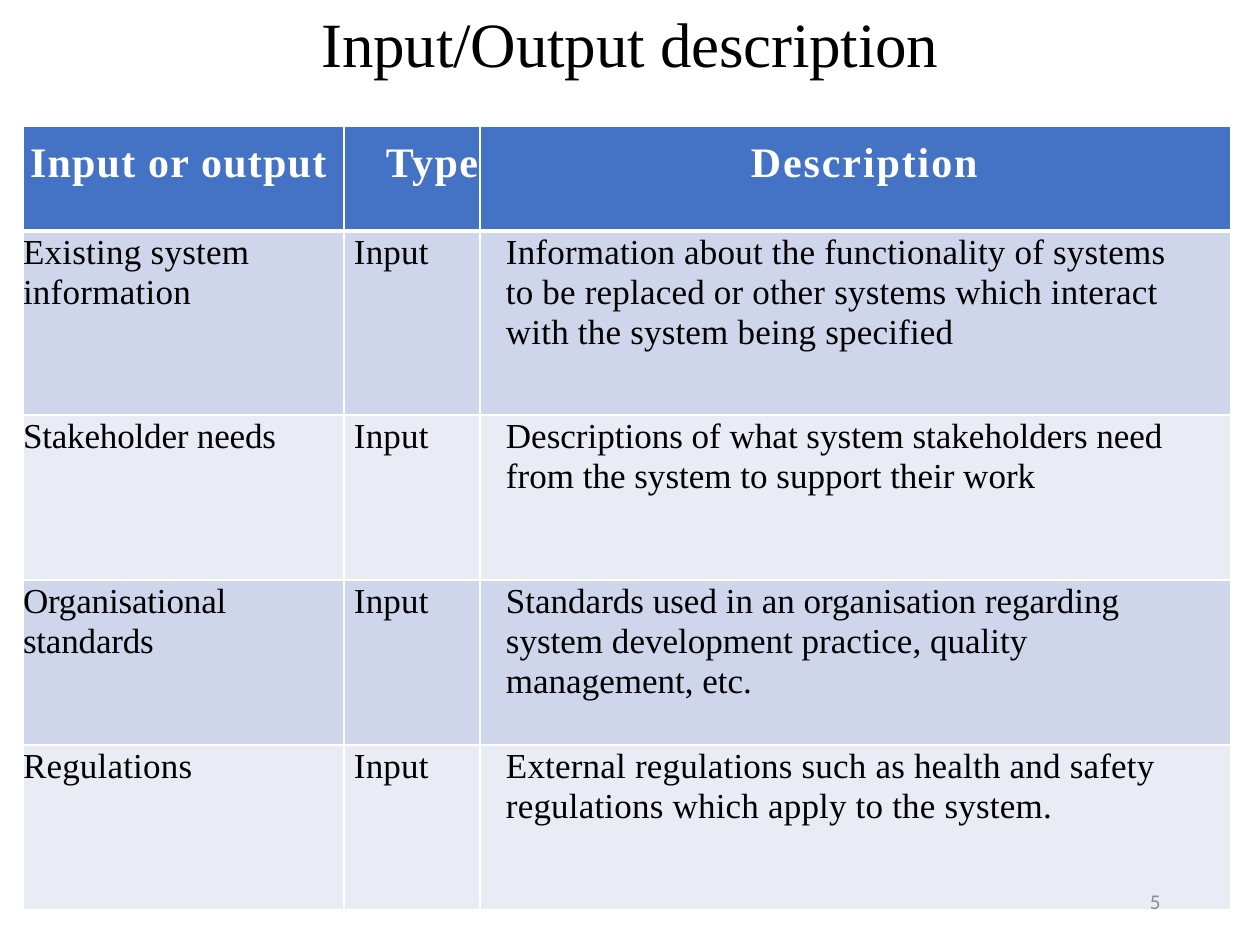
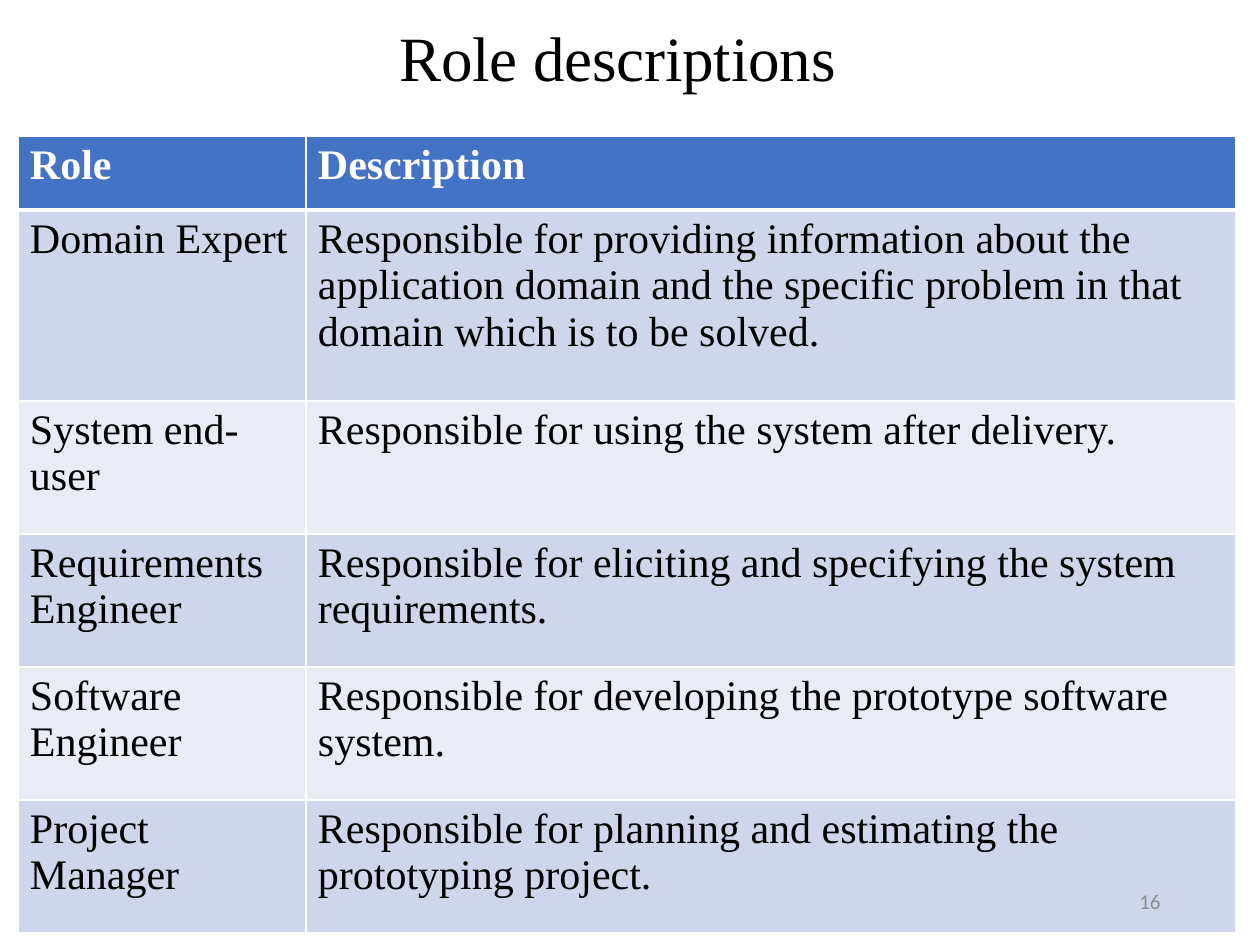
from lxml.etree import SubElement
from pptx import Presentation
from pptx.dml.color import RGBColor
from pptx.enum.text import MSO_ANCHOR as Anchor, PP_ALIGN as Align
from pptx.oxml.ns import qn
from pptx.util import Pt

EMU_PER_PX = 914400 / 126
BLANK_LAYOUT = 6


def px(length):
    return round(length * EMU_PER_PX)


def colour(value):
    return RGBColor.from_string(value)


def write(frame, text, font="Times New Roman", size=24, color="000000", bold=False,
          align=Align.LEFT, line=1.0, tracking=0):
    frame.word_wrap = True
    para = frame.paragraphs[0]
    para.alignment = align
    para.line_spacing = line
    span = para.add_run()
    span.text = text
    span.font.name = font
    span.font.size = Pt(size)
    span.font.bold = bold
    span.font.color.rgb = colour(color)
    if tracking:
        span._r.get_or_add_rPr().set("spc", str(round(tracking * 100)))


class Deck:
    HEADER = "4472C4"
    BANDS = ("CFD5EA", "E9EBF5")
    WHITE = "FFFFFF"
    GREY = "8C8C8C"

    def __init__(self):
        self.deck = Presentation()
        self.deck.slide_width = px(1260)
        self.deck.slide_height = px(945)
        self.page = None

    def add_page(self):
        self.page = self.deck.slides.add_slide(self.deck.slide_layouts[BLANK_LAYOUT])

    def label(self, text, left, top, width, height, **style):
        box = self.page.shapes.add_textbox(px(left), px(top), px(width), px(height))
        box.text_frame.vertical_anchor = Anchor.MIDDLE
        write(box.text_frame, text, **style)

    def title(self, text, top, width):
        self.label(text, 0, top, width, 95, size=36, align=Align.CENTER,
                   line=0.9, tracking=-0.1)

    def number(self, text):
        self.label(text, 890, 876, 283, 50, font="Calibri", size=12,
                   color=self.GREY, align=Align.RIGHT)

    def borders(self, cell, row):
        properties = cell._tc.get_or_add_tcPr()
        widths = {"lnL": 1, "lnR": 1, "lnT": 3 if row == 1 else 1, "lnB": 3 if row == 0 else 1}
        for place, (side, width) in enumerate(widths.items()):
            edge = SubElement(properties, qn(f"a:{side}"), w=str(Pt(width)))
            fill = SubElement(edge, qn("a:solidFill"))
            SubElement(fill, qn("a:srgbClr"), val=self.WHITE)
            properties.insert(place, edge)

    def table(self, left, top, columns, heights, rows, cell_style):
        frame = self.page.shapes.add_table(len(rows), len(columns), px(left), px(top),
                                           px(sum(columns)), px(sum(heights)))
        table = frame.table
        for column, width in zip(table.columns, columns):
            column.width = px(width)
        for row, (height, texts) in enumerate(zip(heights, rows)):
            table.rows[row].height = px(height)
            for column, text in enumerate(texts):
                cell = table.cell(row, column)
                margins, style = cell_style(row, column)
                (cell.margin_left, cell.margin_top,
                 cell.margin_right, cell.margin_bottom) = map(px, margins)
                cell.fill.solid()
                cell.fill.fore_color.rgb = colour(
                    self.BANDS[(row - 1) % 2] if row else self.HEADER)
                self.borders(cell, row)
                write(cell.text_frame, text, bold=row == 0,
                      color="000000" if row else self.WHITE, **style)

    def save(self):
        self.deck.save("out.pptx")


def input_output_style(row, column):
    if row == 0:
        align = Align.CENTER if column == 2 else Align.LEFT
        margins = ((7, 42, 18)[column], 14, 0, 0)
        return margins, {"align": align, "tracking": (0.7, 0.8, 1.1)[column]}
    tracking = (
        (0.15, 0.1, 0.1),
        (-0.1, 0.1, 0),
        (-0.1, 0.1, 0),
        (0.1, 0.1, 0.1),
    )[row - 1][column]
    margins = ((0, 10, 26)[column], 1, (0, 0, 30)[column], 0)
    return margins, {"size": 20, "line": 1.03, "tracking": tracking}


def role_style(row, column):
    return (12, 6, 12, 6), {}


INPUTS_AND_OUTPUTS = [
    ("Input or output", "Type", "Description"),
    ("Existing system information", "Input",
     "Information about the functionality of systems to be replaced or other systems "
     "which interact with the system being specified"),
    ("Stakeholder needs", "Input",
     "Descriptions of what system stakeholders need from the system to support their work"),
    ("Organisational standards", "Input",
     "Standards used in an organisation regarding system development practice, "
     "quality management, etc."),
    ("Regulations", "Input",
     "External regulations such as health and safety regulations which apply to the system."),
]

ROLES = [
    ("Role", "Description"),
    ("Domain Expert",
     "Responsible for providing information about the application domain and the "
     "specific problem in that domain which is to be solved."),
    ("System end-user", "Responsible for using the system after delivery."),
    ("Requirements Engineer",
     "Responsible for eliciting and specifying the system requirements."),
    ("Software Engineer", "Responsible for developing the prototype software system."),
    ("Project Manager", "Responsible for planning and estimating the prototyping project."),
]


def main():
    deck = Deck()

    deck.add_page()
    deck.title("Input/Output description", 0, 1260)
    deck.table(23, 126, (321, 136, 751), (105, 184, *[165] * 3),
               INPUTS_AND_OUTPUTS, input_output_style)
    deck.number("5")

    deck.add_page()
    deck.title("Role descriptions", 14, 1235)
    deck.table(18, 136, (288, 930), (74, 191, *[133] * 4), ROLES, role_style)
    deck.number("16")

    deck.save()


if __name__ == "__main__":
    main()
